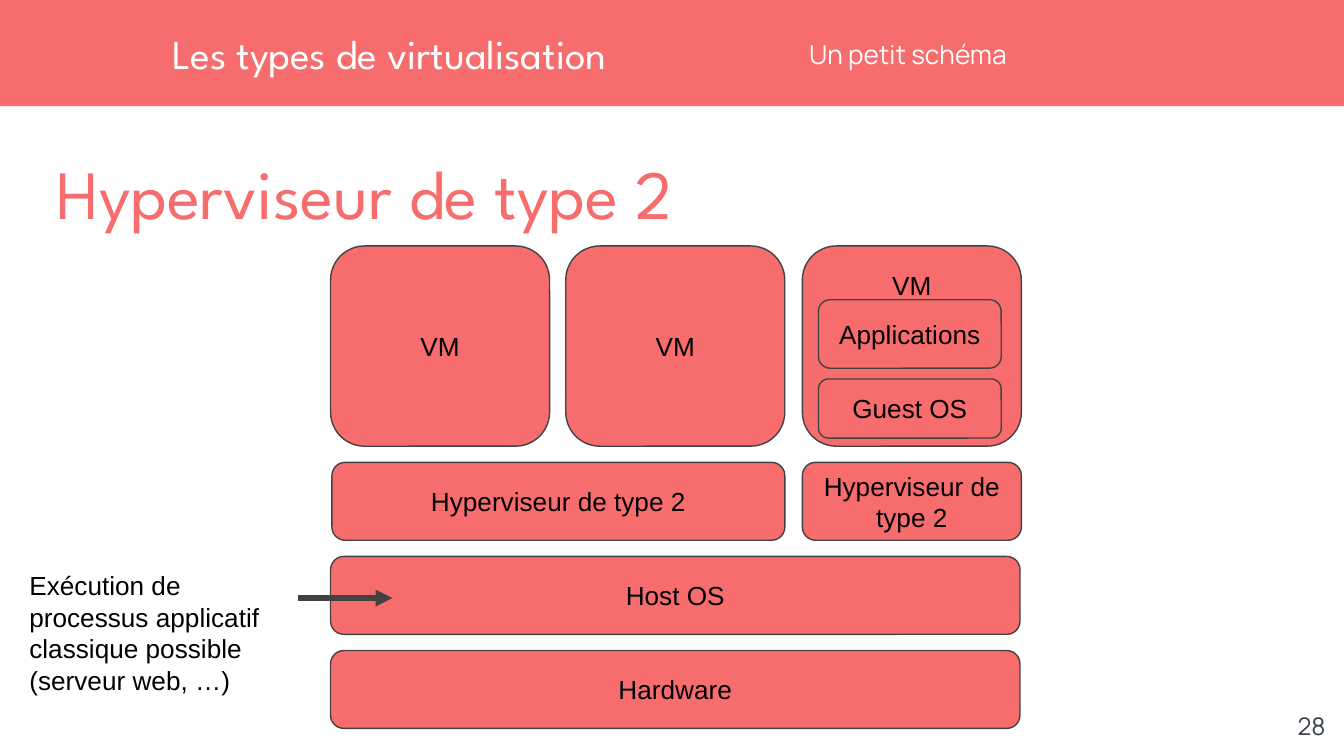
from dataclasses import dataclass

import pptx
import pptx.dml.color
import pptx.enum.shapes
import pptx.enum.text
import pptx.oxml
import pptx.oxml.ns
import pptx.util

Inches = pptx.util.Inches
Pt = pptx.util.Pt
RGBColor = pptx.dml.color.RGBColor
Align = pptx.enum.text.PP_ALIGN
Anchor = pptx.enum.text.MSO_ANCHOR
Geometry = pptx.enum.shapes.MSO_SHAPE

CORAL = RGBColor(0xF7, 0x6C, 0x6C)
WHITE = RGBColor(0xFF, 0xFF, 0xFF)
BLACK = RGBColor(0x00, 0x00, 0x00)
OUTLINE = RGBColor(0x42, 0x42, 0x42)
SLATE = RGBColor(0x3B, 0x42, 0x4E)


@dataclass(frozen=True)
class TextStyle:
    font: str
    size: float
    color: RGBColor
    align: Align = Align.LEFT
    anchor: Anchor = Anchor.TOP
    inset: float = 0


@dataclass(frozen=True)
class Label:
    text: str
    left: float
    top: float
    width: float
    height: float
    style: TextStyle


@dataclass(frozen=True)
class Block:
    text: str
    left: float
    top: float
    width: float
    height: float
    anchor: Anchor = Anchor.MIDDLE


def write_text(frame, text: str, style: TextStyle) -> None:
    frame.word_wrap = True
    frame.vertical_anchor = style.anchor
    frame.margin_left = frame.margin_right = Inches(style.inset)
    frame.margin_top = frame.margin_bottom = Inches(style.inset)
    paragraph = frame.paragraphs[0]
    paragraph.alignment = style.align
    run = paragraph.add_run()
    run.text = text
    run.font.name = style.font
    run.font.size = Pt(style.size)
    run.font.color.rgb = style.color


def draw_label(slide, label: Label) -> None:
    box = slide.shapes.add_textbox(
        Inches(label.left), Inches(label.top), Inches(label.width), Inches(label.height))
    write_text(box.text_frame, label.text, label.style)


def draw_block(slide, block: Block) -> None:
    shape = slide.shapes.add_shape(
        Geometry.ROUNDED_RECTANGLE,
        Inches(block.left), Inches(block.top), Inches(block.width), Inches(block.height))
    shape.shadow.inherit = False
    shape.adjustments[0] = 0.17
    shape.fill.solid()
    shape.fill.fore_color.rgb = CORAL
    shape.line.color.rgb = OUTLINE
    shape.line.width = Pt(0.75)
    style = TextStyle("Arial", 14, BLACK, Align.CENTER, block.anchor, 0.1)
    write_text(shape.text_frame, block.text, style)


def draw_band(slide) -> None:
    band = slide.shapes.add_shape(
        Geometry.RECTANGLE, Inches(-0.02), Inches(0), Inches(10.04), Inches(0.79))
    band.shadow.inherit = False
    band.fill.solid()
    band.fill.fore_color.rgb = CORAL
    band.line.fill.background()


def draw_arrow(slide, start: float, end: float, height: float) -> None:
    arrow = slide.shapes.add_connector(
        pptx.enum.shapes.MSO_CONNECTOR.STRAIGHT,
        Inches(start), Inches(height), Inches(end), Inches(height))
    arrow.line.color.rgb = OUTLINE
    arrow.line.width = Pt(3)
    head = pptx.oxml.parse_xml(
        f'<a:tailEnd {pptx.oxml.ns.nsdecls("a")} type="triangle"/>')
    arrow.line._get_or_add_ln().append(head)
    no_effects = pptx.oxml.parse_xml(f'<a:effectLst {pptx.oxml.ns.nsdecls("a")}/>')
    arrow._element.spPr.append(no_effects)


STACK_LEFT, STACK_WIDTH = 2.46, 5.13
VM_COLUMNS = (STACK_LEFT, 4.21, 5.97)
VM_TOP, VM_WIDTH, VM_HEIGHT = 1.83, 1.63, 1.49
LAYER_HEIGHT, LAYER_STEP = 0.58, 0.7
HYPERVISOR_TOP = 3.44
HOST_TOP = HYPERVISOR_TOP + LAYER_STEP
HARDWARE_TOP = HOST_TOP + LAYER_STEP
HYPERVISOR = "Hyperviseur de type 2"

BLOCKS = (
    Block("Hardware", STACK_LEFT, HARDWARE_TOP, STACK_WIDTH, LAYER_HEIGHT),
    Block("Host OS", STACK_LEFT, HOST_TOP, STACK_WIDTH, LAYER_HEIGHT),
    Block("VM", VM_COLUMNS[2], VM_TOP, VM_WIDTH, VM_HEIGHT, Anchor.TOP),
    Block("Guest OS", 6.09, 2.82, 1.36, 0.44),
    Block("Applications", 6.09, 2.23, 1.36, 0.51),
    Block("VM", VM_COLUMNS[0], VM_TOP, VM_WIDTH, VM_HEIGHT),
    Block(HYPERVISOR, 2.47, HYPERVISOR_TOP, 3.37, LAYER_HEIGHT),
    Block("VM", VM_COLUMNS[1], VM_TOP, VM_WIDTH, VM_HEIGHT),
    Block(HYPERVISOR, VM_COLUMNS[2], HYPERVISOR_TOP, VM_WIDTH, LAYER_HEIGHT),
)

HEADINGS = (
    Label("Un petit schéma", 6.02, 0.21, 3.84, 0.39,
          TextStyle("Manrope", 14, WHITE, anchor=Anchor.MIDDLE)),
    Label("Les types de virtualisation", 1.28, 0, 4.69, 0.79,
          TextStyle("League Spartan", 22, WHITE, anchor=Anchor.MIDDLE)),
    Label(HYPERVISOR, 0.42, 1.12, 9.26, 0.58,
          TextStyle("League Spartan", 37, CORAL)),
    Label("28", 9.36, 5.19, 0.6, 0.43,
          TextStyle("Manrope", 13, SLATE, Align.RIGHT, inset=0.1)),
)

HOST_NOTE = Label(
    "Exécution de processus applicatif classique possible (serveur web, …)",
    0.12, HOST_TOP, 2.25, 1.14, TextStyle("Arial", 14, BLACK, inset=0.1))


def main() -> None:
    deck = pptx.Presentation()
    deck.slide_width = Inches(10)
    deck.slide_height = deck.slide_width * 9 // 16
    slide = deck.slides.add_slide(deck.slide_layouts[6])
    draw_band(slide)
    for heading in HEADINGS:
        draw_label(slide, heading)
    for block in BLOCKS:
        draw_block(slide, block)
    draw_label(slide, HOST_NOTE)
    draw_arrow(slide, 2.22, 2.92, 4.45)
    deck.save("out.pptx")


if __name__ == "__main__":
    main()
